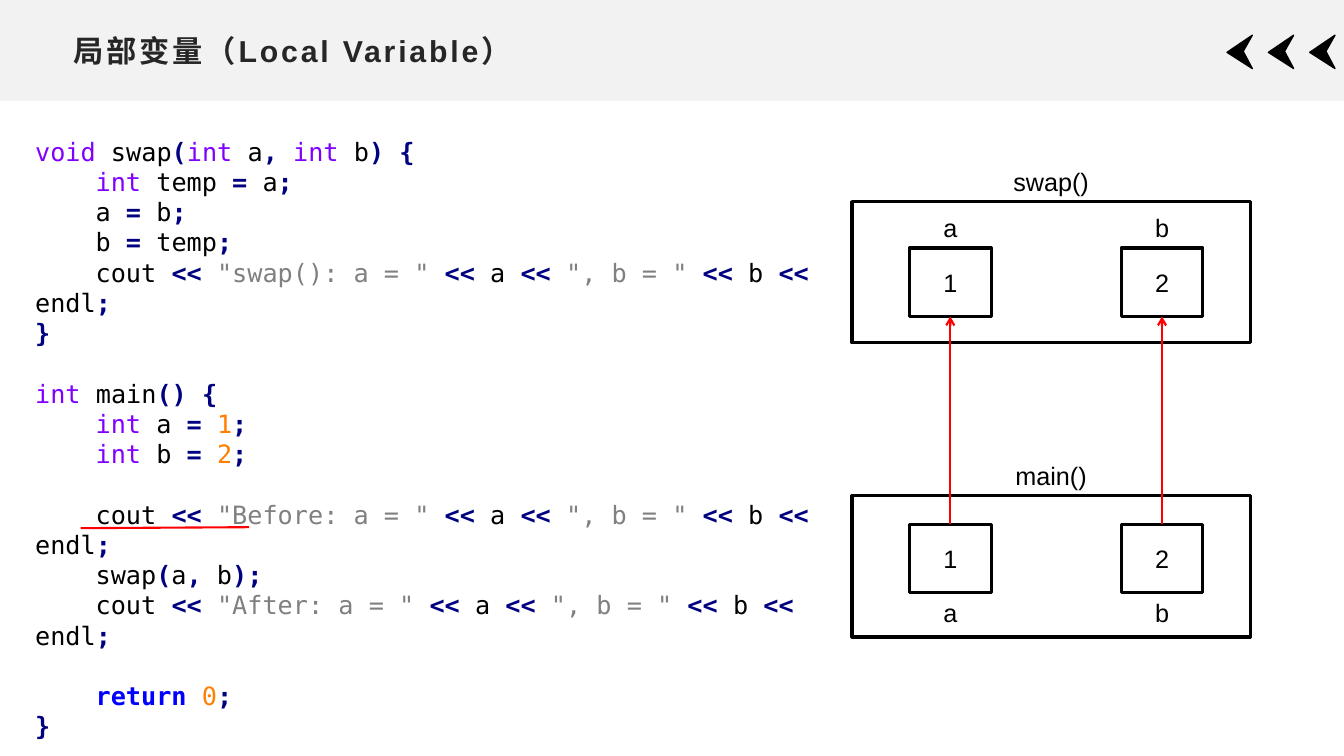
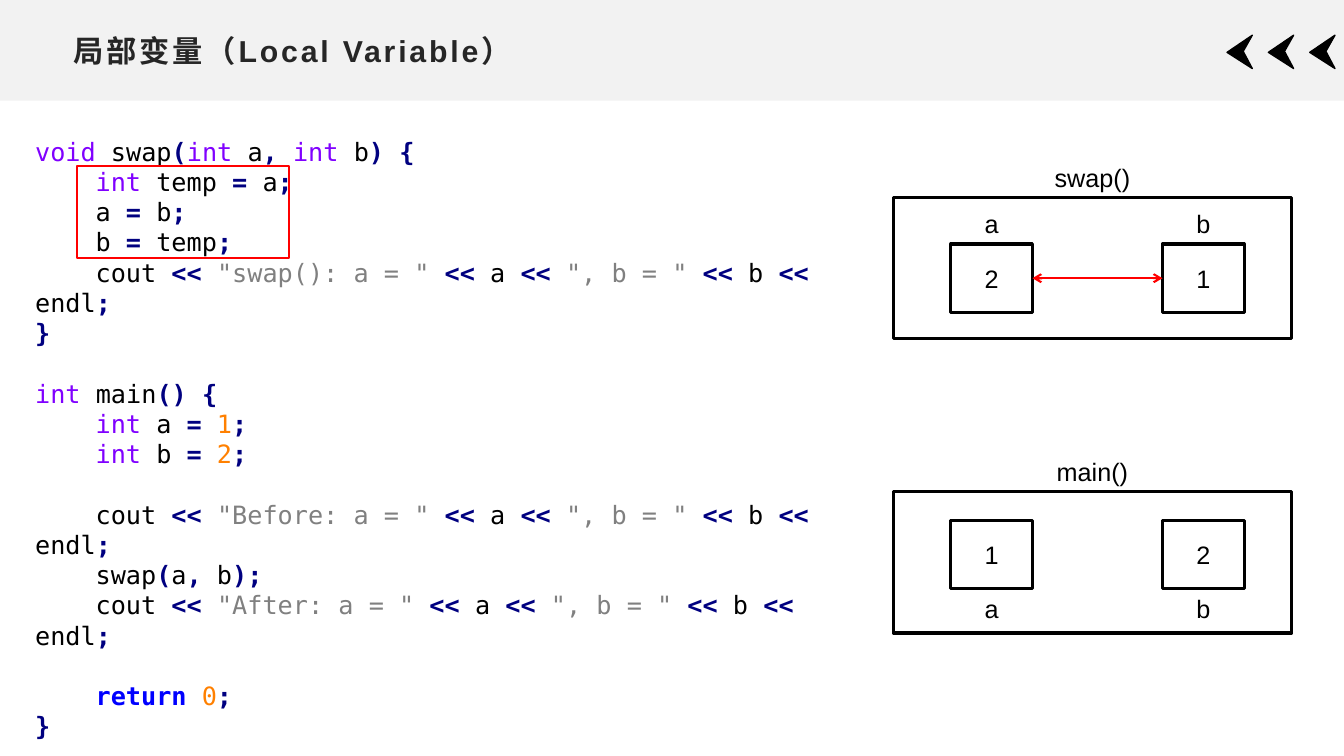
from dataclasses import dataclass
from itertools import groupby

from lxml import etree
from pptx import Presentation
from pptx import util as u
from pptx.dml.color import RGBColor
from pptx.enum import shapes, text
from pptx.oxml.ns import qn


@dataclass(frozen=True)
class Theme:
    # Colours
    band: str = "F2F2F2"
    title: str = "262626"
    ink: str = "000000"
    accent: str = "FF0000"
    type_word: str = "8000FF"
    flow_word: str = "0000FF"
    symbol: str = "000080"
    string: str = "808080"
    number: str = "FF8000"
    # Type
    font: str = "Arial"
    code_font: str = "DejaVu Sans Mono"
    title_size: float = 21.6
    body_size: float = 18
    code_leading: float = 21.6
    # Line widths
    box_line: float = 2.25
    accent_line: float = 1.5


THEME = Theme()
TITLE = "局部变量（Local Variable）"
INDENT_PER_SPACE = 0.15
KEYWORDS = {"void": THEME.type_word, "int": THEME.type_word,
            "return": THEME.flow_word}
CODE = """\
void swap(int a, int b) {
    int temp = a;
    a = b;
    b = temp;
    cout << "swap(): a = " << a << ", b = " << b << endl;
}

int main() {
    int a = 1;
    int b = 2;

    cout << "Before: a = " << a << ", b = " << b << endl;
    swap(a, b);
    cout << "After: a = " << a << ", b = " << b << endl;

    return 0;
}"""

# Connection sites of a rectangle
TOP, LEFT, BOTTOM, RIGHT = range(4)


def rgb(color):
    return RGBColor.from_string(color)


def style_font(font, color, size=THEME.body_size, name=THEME.font, bold=False):
    font.name, font.size, font.bold = name, u.Pt(size), bold
    font.color.rgb = rgb(color)


def add_box(slide, left, top, width, height, fill=None, line=None,
            line_width=THEME.box_line):
    box = slide.shapes.add_shape(shapes.MSO_SHAPE.RECTANGLE, u.Inches(left),
                                 u.Inches(top), u.Inches(width), u.Inches(height))
    box.shadow.inherit = False
    if fill:
        box.fill.solid()
        box.fill.fore_color.rgb = rgb(fill)
    else:
        box.fill.background()
    if line:
        box.line.color.rgb = rgb(line)
        box.line.width = u.Pt(line_width)
    else:
        box.line.fill.background()
    return box


def add_text_box(slide, left, top, width, height):
    box = slide.shapes.add_textbox(u.Inches(left), u.Inches(top),
                                   u.Inches(width), u.Inches(height))
    box.text_frame.word_wrap = True
    return box


def set_centred(shape, words):
    frame = shape.text_frame
    frame.text = words
    frame.vertical_anchor = text.MSO_ANCHOR.MIDDLE
    frame.paragraphs[0].alignment = text.PP_ALIGN.CENTER
    style_font(frame.paragraphs[0].runs[0].font, THEME.ink)


def add_label(slide, words, left, top, width):
    set_centred(add_text_box(slide, left, top, width, 0.4), words)


def add_accent_line(slide, start=(0, 0), end=(0, 0)):
    line = slide.shapes.add_connector(shapes.MSO_CONNECTOR.STRAIGHT,
                                      *map(u.Inches, (*start, *end)))
    line.line.color.rgb = rgb(THEME.accent)
    line.line.width = u.Pt(THEME.accent_line)
    etree.SubElement(line._element.spPr, qn("a:effectLst"))
    return line


def add_arrow(slide, source, source_site, target, target_site, ends=("tailEnd",)):
    arrow = add_accent_line(slide)
    arrow.begin_connect(source, source_site)
    arrow.end_connect(target, target_site)
    for end in ends:
        etree.SubElement(arrow.line._get_or_add_ln(), qn(f"a:{end}"), type="arrow")


def add_chevron(slide, left):
    outline = [(0.25, 0.68), (0, 0.52), (0.25, 0.35), (0.16, 0.51)]
    points = [(u.Inches(left + x), u.Inches(y)) for x, y in outline]
    builder = slide.shapes.build_freeform(*points[0])
    builder.add_line_segments(points[1:], close=True)
    chevron = builder.convert_to_shape()
    chevron.shadow.inherit = False
    chevron.fill.solid()
    chevron.fill.fore_color.rgb = rgb(THEME.ink)
    chevron.line.color.rgb = rgb(THEME.ink)
    chevron.line.width = u.Pt(1)


def add_header(slide):
    add_box(slide, 0, 0, 13.33, 1, fill=THEME.band)
    for index in range(3):
        add_chevron(slide, 12.17 + index * 0.41)
    frame = add_text_box(slide, 0.63, 0.26, 12.07, 0.48).text_frame
    frame.text = TITLE
    frame.vertical_anchor = text.MSO_ANCHOR.MIDDLE
    title = frame.paragraphs[0].runs[0]
    style_font(title.font, THEME.title, THEME.title_size, bold=True)
    title.font._element.set("spc", "200")


def char_kind(char):
    if char.isspace():
        return "space"
    return "word" if char.isalnum() else "symbol"


def highlight(line):
    """Yield (token, colour, bold) for one line of code."""
    for index, part in enumerate(line.split('"')):
        if index % 2:
            yield f'"{part}"', THEME.string, False
            continue
        for kind, chars in groupby(part, char_kind):
            token = "".join(chars)
            if kind == "symbol":
                yield token, THEME.symbol, True
            elif token.isdigit():
                yield token, THEME.number, False
            else:
                yield token, KEYWORDS.get(token, THEME.ink), token == "return"


def add_code(slide, width):
    frame = add_text_box(slide, 0.25, 1.3, width, 5.25).text_frame
    paragraph, gap = frame.paragraphs[0], 0
    for number, line in enumerate(CODE.splitlines()):
        code = line.lstrip()
        if not code:
            gap = THEME.code_leading
            continue
        if number:
            paragraph = frame.add_paragraph()
        paragraph.line_spacing = u.Pt(THEME.code_leading)
        paragraph.space_before = u.Pt(gap)
        gap = 0
        # Only the first line is indented, wrapped words return to the margin
        indent = u.Inches((len(line) - len(code)) * INDENT_PER_SPACE)
        paragraph._p.get_or_add_pPr().set("indent", str(indent))
        for token, color, bold in highlight(code):
            run = paragraph.add_run()
            run.text = token
            style_font(run.font, color, name=THEME.code_font, bold=bold)


def add_stack_frame(slide, name, left, top, values, cell_drop, label_drop):
    """Draw a function's frame and return its two variable cells."""
    add_box(slide, left, top, 3.95, 1.4, line=THEME.ink)
    add_label(slide, name, left, top - 0.4, 3.95)
    cells = []
    for index, (variable, value) in enumerate(zip("ab", values)):
        cell_left = left + 0.57 + index * 2.1
        cell = add_box(slide, cell_left, top + cell_drop, 0.81, 0.68, line=THEME.ink)
        set_centred(cell, value)
        add_label(slide, variable, cell_left, top + label_drop, 0.81)
        cells.append(cell)
    return cells


def add_memory(slide, left, top, swap_values):
    main_cells = add_stack_frame(slide, "main()", left, top + 2.92, "12", 0.28, 0.96)
    swap_cells = add_stack_frame(slide, "swap()", left, top, swap_values, 0.46, 0.06)
    return main_cells, swap_cells


def add_content_slide(deck, code_width):
    slide = deck.slides.add_slide(deck.slide_layouts[6])
    add_header(slide)
    add_code(slide, code_width)
    return slide


def main():
    deck = Presentation()
    deck.slide_width, deck.slide_height = u.Inches(13.33), u.Inches(7.5)

    # Arguments are copied into swap()
    passing = add_content_slide(deck, 8.01)
    main_cells, swap_cells = add_memory(passing, 8.45, 2, "12")
    for source, target in zip(main_cells, swap_cells):
        add_arrow(passing, source, TOP, target, BOTTOM)
    add_accent_line(passing, (0.8, 5.24), (2.47, 5.23))

    # Only the local values are exchanged
    exchange = add_content_slide(deck, 8.3)
    _, (cell_a, cell_b) = add_memory(exchange, 8.86, 1.96, "21")
    add_box(exchange, 0.76, 1.65, 2.11, 0.91, line=THEME.accent,
            line_width=THEME.accent_line)
    add_arrow(exchange, cell_a, RIGHT, cell_b, LEFT, ends=("headEnd", "tailEnd"))

    deck.save("out.pptx")


if __name__ == "__main__":
    main()
